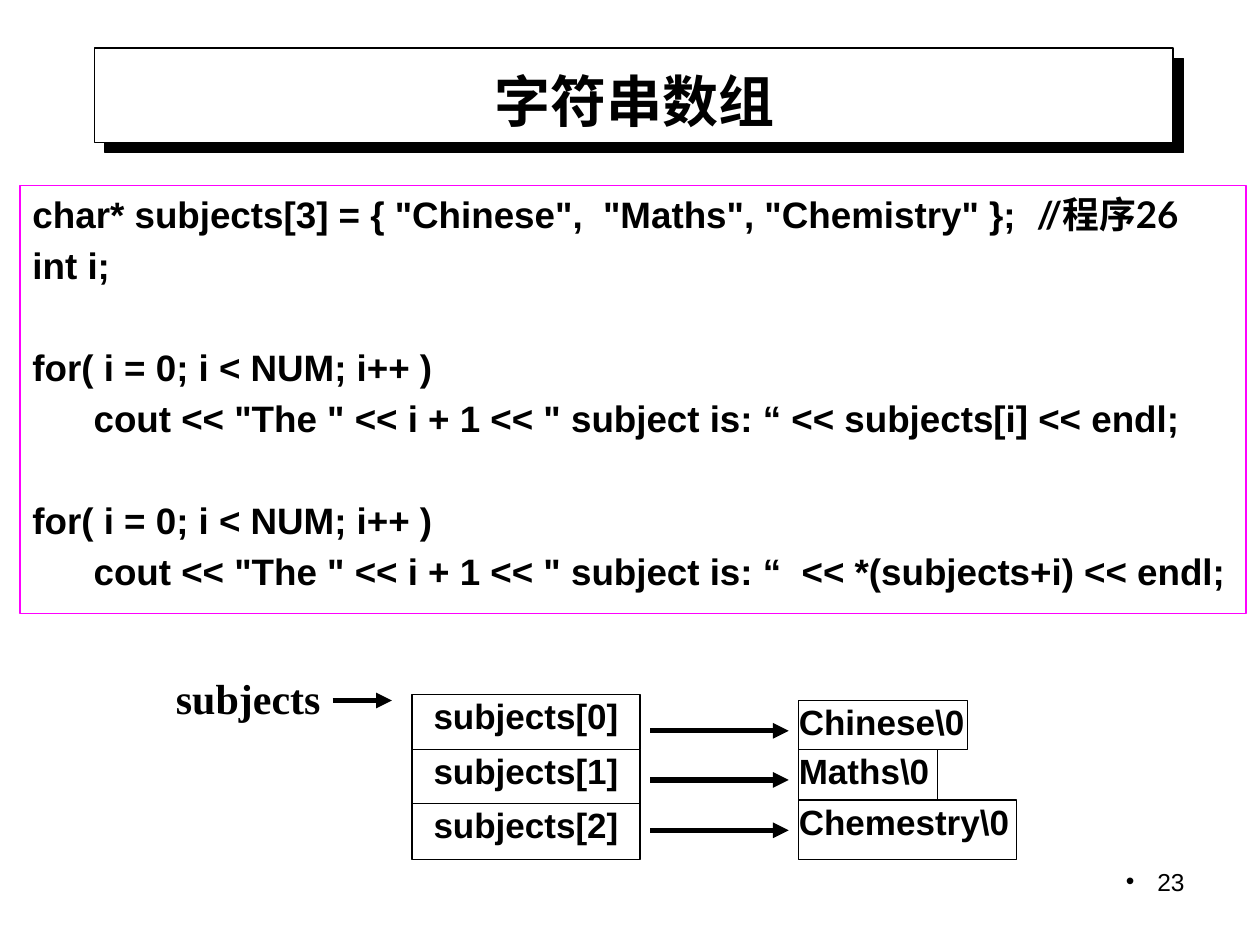
from lxml import etree
from pptx import Presentation
from pptx import util as u
from pptx.dml.color import RGBColor
from pptx.enum import shapes, text
from pptx.oxml.ns import qn

BLACK, WHITE, MAGENTA = "000000", "FFFFFF", "FF00FF"
CJK = "Noto Sans CJK SC"
ALIGN = text.PP_ALIGN


def style(font, size, name="Arial", bold=True, color=BLACK):
    font.size = u.Pt(size)
    font.bold = bold
    font.color.rgb = RGBColor.from_string(color)
    font.name = name
    etree.SubElement(font._element, qn("a:ea"), typeface=CJK)


def box(left, top, width, height, fill=WHITE, line=BLACK):
    rect = slide.shapes.add_shape(
        shapes.MSO_SHAPE.RECTANGLE,
        u.Inches(left), u.Inches(top), u.Inches(width), u.Inches(height))
    rect.shadow.inherit = False
    if fill:
        rect.fill.solid()
        rect.fill.fore_color.rgb = RGBColor.from_string(fill)
    else:
        rect.fill.background()
    rect.line.color.rgb = RGBColor.from_string(line)
    rect.line.width = u.Pt(0.75)
    rect.text_frame.word_wrap = True
    rect.text_frame.vertical_anchor = text.MSO_ANCHOR.TOP
    return rect


prs = Presentation()
prs.slide_width, prs.slide_height = u.Inches(10), u.Inches(7.5)
slide = prs.slides.add_slide(prs.slide_layouts[6])

banner = box(0.75, 0.38, 8.56, 0.75)
effects = banner._element.spPr.find(qn("a:effectLst"))
shadow = etree.SubElement(effects, qn("a:outerShdw"), dist=str(u.Pt(8.5)),
                          dir="2700000", algn="ctr", rotWithShape="0")
etree.SubElement(shadow, qn("a:srgbClr"), val=BLACK)

labels = [
    ("23", 7.17, 6.83, 2.33, 0.52, 14, "Arial", False, ALIGN.RIGHT, text.MSO_ANCHOR.TOP, True),
    ("字符串数组", 0.75, 0.44, 8.58, 0.71, 32, CJK, True, ALIGN.CENTER, text.MSO_ANCHOR.MIDDLE, True),
    ("subjects", 1.38, 5.32, 1.18, 0.43, 24, "Times New Roman", True, ALIGN.CENTER,
     text.MSO_ANCHOR.MIDDLE, False),
]
for words, left, top, width, height, size, name, bold, align, anchor, wrap in labels:
    frame = slide.shapes.add_textbox(
        u.Inches(left), u.Inches(top), u.Inches(width), u.Inches(height)).text_frame
    frame.word_wrap = wrap
    frame.vertical_anchor = anchor
    if not wrap:
        frame.margin_left = frame.margin_right = 0
    label = frame.paragraphs[0]
    label.text = words
    label.alignment = align
    if words == "23":
        props = label._p.get_or_add_pPr()
        props.set("marL", str(u.Inches(0.25)))
        props.set("indent", str(u.Inches(-0.25)))
        etree.SubElement(props, qn("a:buFont"), typeface="Arial")
        etree.SubElement(props, qn("a:buChar"), char="•")
    style(label.font, size, name, bold)

LINE_GAP, BLOCK_GAP = 4, 33
code_lines = [
    ('char* subjects[3] = { "Chinese",  "Maths", "Chemistry" };  ', 0),
    ("int i;", LINE_GAP),
    ("for( i = 0; i < NUM; i++ )", BLOCK_GAP),
    ('      cout << "The " << i + 1 << " subject is: “ << subjects[i] << endl;', LINE_GAP),
    ("for( i = 0; i < NUM; i++ )", BLOCK_GAP),
    ('      cout << "The " << i + 1 << " subject is: “  << *(subjects+i) << endl;', LINE_GAP),
]
code = box(0.16, 1.47, 9.73, 3.4, fill=None, line=MAGENTA).text_frame
for number, (words, gap) in enumerate(code_lines):
    code_line = code.add_paragraph() if number else code.paragraphs[0]
    code_line.alignment = ALIGN.LEFT
    if gap:
        code_line.space_before = u.Pt(gap)
    code_line.add_run().text = words
    style(code_line.font, 21)
remark = code.paragraphs[0].add_run()
remark.text = "//程序26"
style(remark.font, 21, "Lato")

pointers = [(f"subjects[{i}]", 3.27, top, 1.81, 0.44, ALIGN.CENTER)
            for i, top in enumerate((5.51, 5.95, 6.38))]
strings = [
    ("Chinese\\0", 6.34, 5.56, 1.34, 0.39, ALIGN.LEFT),
    ("Maths\\0", 6.34, 5.95, 1.1, 0.44, ALIGN.LEFT),
    ("Chemestry\\0", 6.34, 6.35, 1.73, 0.47, ALIGN.LEFT),
]
for words, left, top, width, height, align in pointers + strings:
    cell = box(left, top, width, height).text_frame
    cell.margin_left = cell.margin_right = cell.margin_top = cell.margin_bottom = 0
    entry = cell.paragraphs[0]
    entry.text = words
    entry.alignment = align
    style(entry.font, 20)

arrows = [(2.64, 3.11, 5.56)] + [(5.16, 6.26, y) for y in (5.8, 6.19, 6.59)]
for start, end, y in arrows:
    arrow = slide.shapes.add_connector(
        shapes.MSO_CONNECTOR.STRAIGHT,
        u.Inches(start), u.Inches(y), u.Inches(end), u.Inches(y))
    arrow.line.color.rgb = RGBColor.from_string(BLACK)
    arrow.line.width = u.Pt(3)
    etree.SubElement(arrow.line._get_or_add_ln(), qn("a:tailEnd"), type="triangle")
    etree.SubElement(arrow._element.spPr, qn("a:effectLst"))

prs.save("out.pptx")
